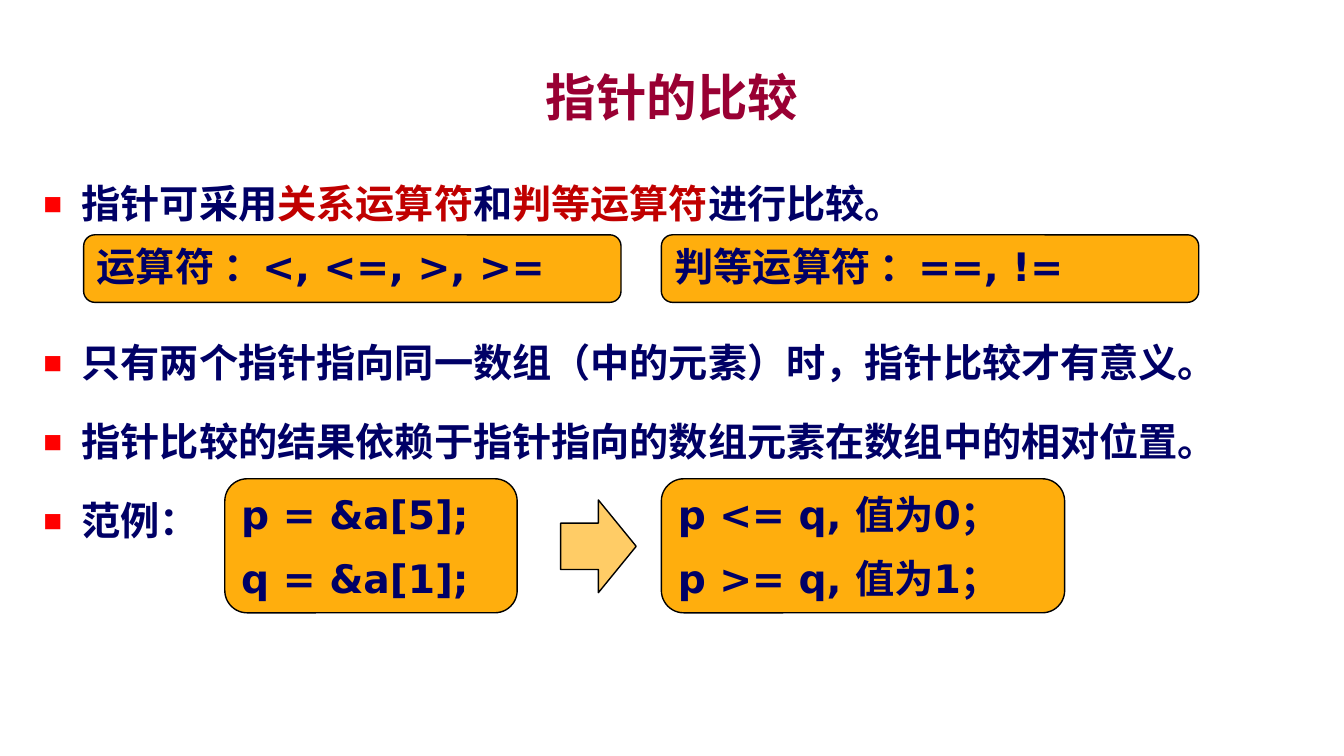
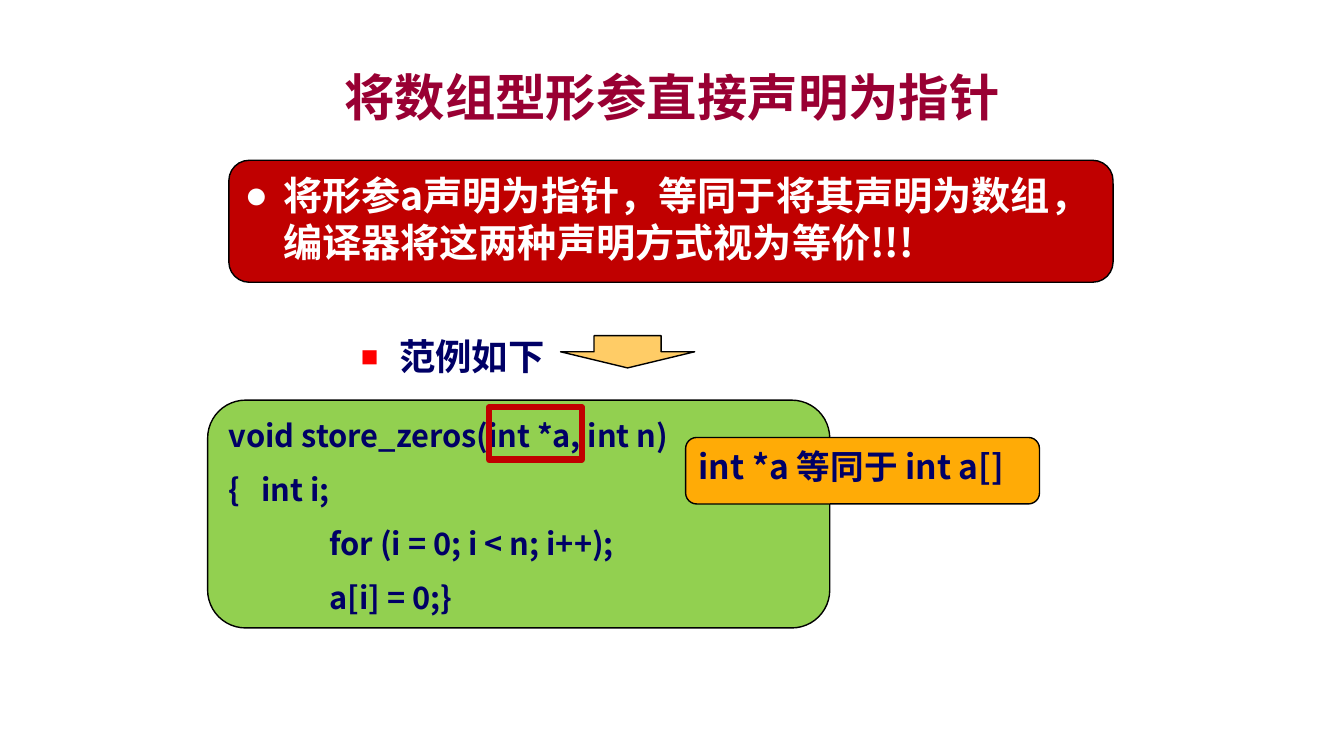
"""Two slides about comparing pointers and declaring array parameters as pointers."""
from lxml.etree import SubElement
from pptx import Presentation
from pptx.dml.color import RGBColor
from pptx.enum.shapes import MSO_SHAPE
from pptx.enum.text import MSO_ANCHOR, MSO_AUTO_SIZE, PP_ALIGN
from pptx.oxml.ns import qn
from pptx.util import Inches, Pt

NAVY, RED, ORANGE, BLACK = "000066", "C00000", "FFAE0D", "000000"
CJK = "Noto Sans CJK SC"
TITLE_PLACE = (1, 0.58, 11.33, 0.75)
SQUARE = {"char": "■", "colour": "FF0000", "size": 80}
DISC = {"char": "●", "colour": "FFFFFF", "size": 100}

TITLE_STYLE = {"size": 36, "font": "Arial", "colour": "990033",
               "format": {"alignment": PP_ALIGN.CENTER}}
LIST_STYLE = {"size": 28, "font": "Arial", "bullet": SQUARE,
              "format": {"line_spacing": 1.5, "space_before": Pt(6)}}
LABEL_FORMAT = {"alignment": PP_ALIGN.LEFT, "space_before": Pt(6), "space_after": Pt(6)}
LABEL_STYLE = {"size": 28, "font": "DejaVu Sans", "format": LABEL_FORMAT}
OPERATOR_STYLE = {**LABEL_STYLE, "margins": {"margin_bottom": Inches(0.1)}}
CODE_STYLE = {"size": 22, "font": CJK, "format": LABEL_FORMAT, "tab": 1,
              "margins": {"margin_top": Inches(0.09)}}
EQUAL_STYLE = {"size": 24, "font": CJK, "margins": {"margin_bottom": Inches(0.15)},
               "format": {**LABEL_FORMAT, "alignment": PP_ALIGN.JUSTIFY}}
CLAIM_STYLE = {"size": 28, "font": CJK, "colour": "FFFFFF", "bullet": DISC,
               "margins": {"margin_right": Inches(0.5), "margin_bottom": Inches(0.11)},
               "format": {"alignment": PP_ALIGN.LEFT}}
EXAMPLE_STYLE = {**LIST_STYLE, "size": 26, "font": CJK}

COMPARE_TITLE = "指针的比较"
COMPARE_PLACE = (0.33, 1.5, 12.67, 5.67)
COMPARE_POINTS = [
    [("指针可采用", NAVY), ("关系运算符", RED), ("和", NAVY),
     ("判等运算符", RED), ("进行比较。", NAVY)],
    "只有两个指针指向同一数组（中的元素）时，指针比较才有意义。",
    "指针比较的结果依赖于指针指向的数组元素在数组中的相对位置。",
    "范例：",
]
OPERATOR_GAP = 63
COMPARE_LABELS = [
    ((0.83, 2.33, 5.33, 0.67), OPERATOR_STYLE, ["运算符 ：<, <=, >, >="]),
    ((6.56, 2.33, 5.33, 0.67), OPERATOR_STYLE, ["判等运算符 ：==, !="]),
    ((2.23, 4.75, 2.9, 1.33), LABEL_STYLE, ["p = &a[5];", "q = &a[1];"]),
    ((6.56, 4.75, 4, 1.33), LABEL_STYLE, ["p <= q, 值为0；", "p >= q, 值为1；"]),
]

DECLARE_TITLE = "将数组型形参直接声明为指针"
DECLARE_LABELS = [
    ((2.27, 1.59, 8.77, 1.21), RED, CLAIM_STYLE,
     ["将形参a声明为指针，等同于将其声明为数组，编译器将这两种声明方式视为等价!!!"]),
    ((2.06, 3.97, 6.17, 2.26), "92D050", CODE_STYLE,
     ["void store_zeros(int *a, int n)", "{   int i;",
      "\tfor (i = 0; i < n; i++);", "\ta[i] = 0;}"]),
    ((6.8, 4.34, 3.51, 0.66), "FFAB06", EQUAL_STYLE, ["int *a 等同于 int a[]"]),
]


def rgb(value):
    """Turn a hex string into a colour."""
    return RGBColor.from_string(value)


def inches(place):
    """Turn plain numbers into lengths."""
    return [Inches(number) for number in place]


def add_bullet(para, bullet):
    """Give a paragraph a hanging bullet."""
    properties = para._p.get_or_add_pPr()
    properties.set("marL", str(Inches(0.38)))
    properties.set("indent", str(-Inches(0.38)))
    colour = SubElement(properties, qn("a:buClr"))
    SubElement(colour, qn("a:srgbClr"), val=bullet["colour"])
    SubElement(properties, qn("a:buSzPct"), val=str(bullet["size"] * 1000))
    SubElement(properties, qn("a:buFont"), typeface="Arial")
    SubElement(properties, qn("a:buChar"), char=bullet["char"])


def add_tab(para, position):
    """Give a paragraph a left tab stop."""
    stops = SubElement(para._p.get_or_add_pPr(), qn("a:tabLst"))
    SubElement(stops, qn("a:tab"), pos=str(Inches(position)), algn="l")


def write(frame, lines, style, anchor=MSO_ANCHOR.TOP):
    """Fill a text frame with styled paragraphs."""
    settings = {"word_wrap": True, "auto_size": MSO_AUTO_SIZE.NONE,
                "vertical_anchor": anchor, **style.get("margins", {})}
    for name, value in settings.items():
        setattr(frame, name, value)
    colour = style.get("colour", NAVY)
    for index, line in enumerate(lines):
        para = frame.add_paragraph() if index else frame.paragraphs[0]
        if "bullet" in style:
            add_bullet(para, style["bullet"])
        if "tab" in style:
            add_tab(para, style["tab"])
        for name, value in style["format"].items():
            setattr(para, name, value)
        if index == 0:
            para.space_before = Pt(0)
        for text, shade in [(line, colour)] if isinstance(line, str) else line:
            span = para.add_run()
            span.text = text
            span.font.color.rgb = rgb(shade)
            for name, value in {"size": Pt(style["size"]), "bold": True,
                                "name": style["font"]}.items():
                setattr(span.font, name, value)
            SubElement(span._r.get_or_add_rPr(), qn("a:ea"), typeface=CJK)


def add_box(page, kind, place, fill, line=BLACK, width=1):
    """Draw an outlined preset shape."""
    box = page.shapes.add_shape(kind, *inches(place))
    box.shadow.inherit = False
    if fill:
        box.fill.solid()
        box.fill.fore_color.rgb = rgb(fill)
    else:
        box.fill.background()
    box.line.color.rgb = rgb(line)
    box.line.width = Pt(width)
    return box


def add_label(page, place, fill, style, lines):
    """Draw a rounded box holding text."""
    box = add_box(page, MSO_SHAPE.ROUNDED_RECTANGLE, place, fill)
    write(box.text_frame, lines, style, MSO_ANCHOR.MIDDLE)


def fill_placeholder(holder, place, lines, style, anchor=MSO_ANCHOR.TOP):
    """Move a placeholder and write its text."""
    holder.left, holder.top, holder.width, holder.height = inches(place)
    write(holder.text_frame, lines, style, anchor)


def add_page(deck, layout, title):
    """Add a slide with the shared title style."""
    page = deck.slides.add_slide(deck.slide_layouts[layout])
    fill_placeholder(page.shapes.title, TITLE_PLACE, [title], TITLE_STYLE, MSO_ANCHOR.MIDDLE)
    return page


def build_compare(deck):
    """Build the slide on comparing pointers."""
    page = add_page(deck, 1, COMPARE_TITLE)
    body = page.placeholders[1]
    fill_placeholder(body, COMPARE_PLACE, COMPARE_POINTS, LIST_STYLE)
    body.text_frame.paragraphs[1].space_before = Pt(OPERATOR_GAP)
    for place, style, lines in COMPARE_LABELS:
        add_label(page, place, ORANGE, style, lines)
    add_box(page, MSO_SHAPE.RIGHT_ARROW, (5.56, 4.96, 0.75, 0.92), "FFCC66")


def build_declare(deck):
    """Build the slide on pointer parameters."""
    page = add_page(deck, 5, DECLARE_TITLE)
    claim, code, equal = DECLARE_LABELS
    add_label(page, *claim)
    example = page.shapes.add_textbox(*inches((3.48, 3.05, 3.67, 0.71)))
    write(example.text_frame, ["范例如下"], EXAMPLE_STYLE)
    arrow = add_box(page, MSO_SHAPE.DOWN_ARROW, (5.56, 3.33, 1.33, 0.32), "FFCC66")
    page.shapes.add_group_shape([example, arrow])
    add_label(page, *code)
    add_box(page, MSO_SHAPE.RECTANGLE, (4.85, 4.04, 0.92, 0.52), None, RED, 4.5)
    add_label(page, *equal)


def main():
    """Build and save the deck."""
    deck = Presentation()
    deck.slide_width, deck.slide_height = inches((13.33, 7.5))
    build_compare(deck)
    build_declare(deck)
    deck.save("out.pptx")


if __name__ == "__main__":
    main()
